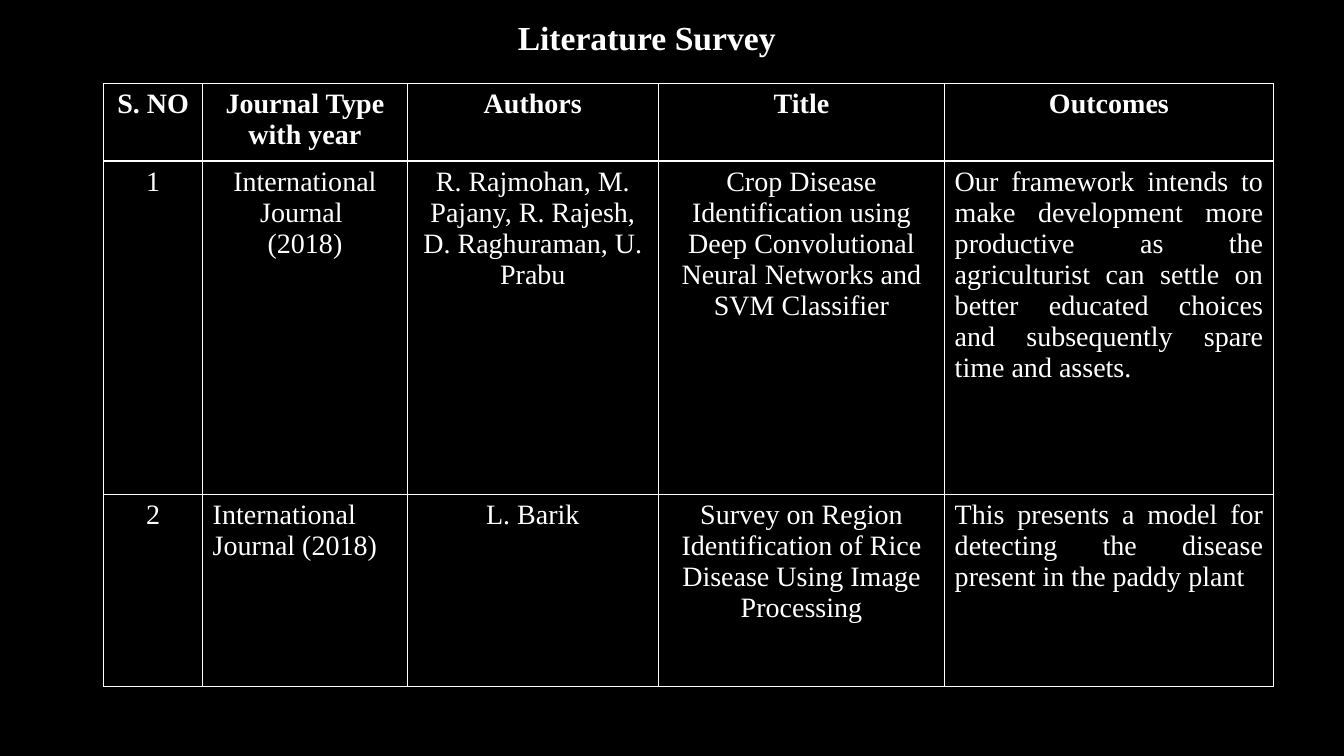
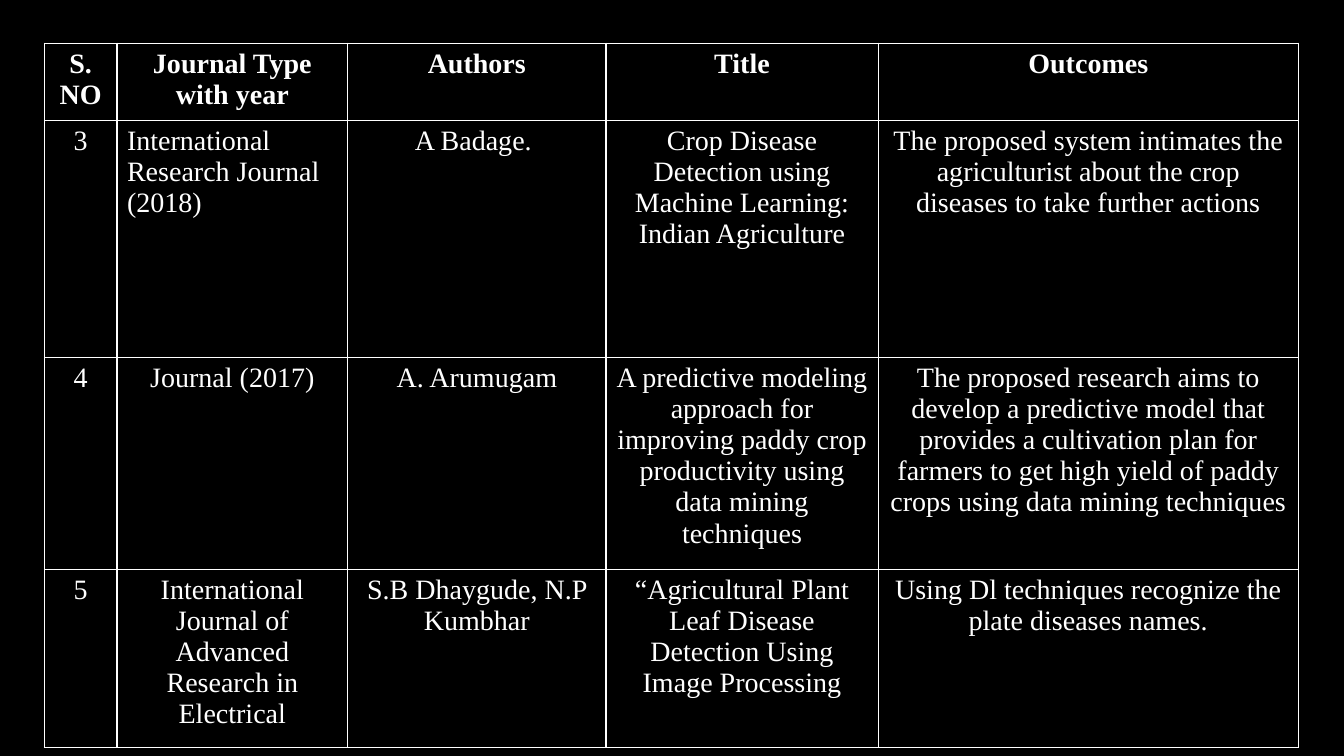
from dataclasses import dataclass

from lxml import etree
from pptx import Presentation
from pptx.dml.color import RGBColor
from pptx.enum.text import MSO_ANCHOR, PP_ALIGN
from pptx.oxml.ns import qn
from pptx.util import Inches, Pt

LEFT, CENTER, JUSTIFY = PP_ALIGN.LEFT, PP_ALIGN.CENTER, PP_ALIGN.JUSTIFY
MIDDLE = MSO_ANCHOR.MIDDLE
BORDER_SIDES = ("a:lnL", "a:lnR", "a:lnT", "a:lnB")


@dataclass(frozen=True)
class Theme:
    background: str = "000000"
    foreground: str = "FFFFFF"
    font: str = "Times New Roman"
    title_size: int = 24
    table_size: int = 20
    border_width: int = 1


THEME = Theme()
HEADERS = ("S. NO", "Journal Type with year", "Authors", "Title", "Outcomes")

# Survey entries: number, journal, authors, title, outcomes
FIRST_PAPERS = [
    ("1", "International Journal \n(2018)",
     "R. Rajmohan, M. Pajany, R. Rajesh, D. Raghuraman, U. Prabu",
     "Crop Disease Identification using Deep Convolutional Neural Networks "
     "and SVM Classifier",
     "Our framework intends to make development more productive as the "
     "agriculturist can settle on better educated choices and subsequently "
     "spare time and assets."),
    ("2", "International Journal (2018)", "L. Barik",
     "Survey on Region Identification of Rice Disease Using Image Processing",
     "This presents a model for detecting the disease present in the paddy plant"),
]
MORE_PAPERS = [
    ("3", "International Research Journal (2018)", "A Badage. ",
     "Crop Disease Detection using Machine Learning: Indian Agriculture",
     "The proposed system intimates the agriculturist about the crop diseases "
     "to take further actions"),
    ("4", "Journal (2017)", "A. Arumugam",
     "A predictive modeling approach for improving paddy crop productivity "
     "using data mining techniques",
     "The proposed research aims to develop a predictive model that provides a "
     "cultivation plan for farmers to get high yield of paddy crops using data "
     "mining techniques"),
    ("5", "International Journal of Advanced Research in Electrical",
     "S.B Dhaygude, N.P Kumbhar",
     "“Agricultural Plant Leaf Disease Detection Using Image Processing",
     "Using Dl techniques recognize the plate diseases names."),
]


def write_text(text_frame, text, *, size, bold=False, align=CENTER, line_spacing=None):
    """Write one paragraph per line of text in the theme's font and colour."""
    for index, line in enumerate(text.split("\n")):
        paragraph = text_frame.add_paragraph() if index else text_frame.paragraphs[0]
        paragraph.alignment = align
        if line_spacing:
            paragraph.line_spacing = line_spacing
        run = paragraph.add_run()
        run.text = line
        run.font.name = THEME.font
        run.font.size = Pt(size)
        run.font.bold = bold
        run.font.color.rgb = RGBColor.from_string(THEME.foreground)


def add_slide(presentation):
    slide = presentation.slides.add_slide(presentation.slide_layouts[6])
    fill = slide.background.fill
    fill.solid()
    fill.fore_color.rgb = RGBColor.from_string(THEME.background)
    return slide


def add_title(slide, text, left, top, width, height):
    text_frame = slide.shapes.add_textbox(
        Inches(left), Inches(top), Inches(width), Inches(height)).text_frame
    text_frame.word_wrap = True
    text_frame.vertical_anchor = MIDDLE
    write_text(text_frame, text, size=THEME.title_size, bold=True, line_spacing=0.9)


def style_cell(cell):
    """Outline the cell and let the slide background show through."""
    properties = cell._tc.get_or_add_tcPr()
    for side in BORDER_SIDES:
        line = etree.SubElement(properties, qn(side), w=str(Pt(THEME.border_width)))
        fill = etree.SubElement(line, qn("a:solidFill"))
        etree.SubElement(fill, qn("a:srgbClr"), val=THEME.foreground)
    cell.fill.background()


def add_survey_table(slide, papers, left, top, widths, heights, alignments):
    """Add a survey table; alignments maps (row, column) to non-centred cells."""
    rows = [HEADERS, *papers]
    table = slide.shapes.add_table(
        len(rows), len(HEADERS), Inches(left), Inches(top),
        Inches(sum(widths)), Inches(sum(heights))).table
    for column, width in zip(table.columns, widths):
        column.width = Inches(width)
    for row, height in zip(table.rows, heights):
        row.height = Inches(height)
    for row_index, texts in enumerate(rows):
        for column_index, text in enumerate(texts):
            cell = table.cell(row_index, column_index)
            style_cell(cell)
            write_text(cell.text_frame, text, size=THEME.table_size,
                       bold=row_index == 0,
                       align=alignments.get((row_index, column_index), CENTER))


def main():
    presentation = Presentation()
    presentation.slide_width = Inches(13.33)
    presentation.slide_height = Inches(7.5)

    # Title and first two papers
    slide = add_slide(presentation)
    add_title(slide, "Literature Survey", 4.4, 0.08, 4.03, 0.63)
    add_survey_table(slide, FIRST_PAPERS, 1.03, 0.83,
                     widths=(0.98, 2.03, 2.49, 2.84, 3.26),
                     heights=(0.71, 3.31, 1.9),
                     alignments={(1, 4): JUSTIFY, (2, 1): LEFT, (2, 4): JUSTIFY})

    # Remaining papers
    slide = add_slide(presentation)
    add_survey_table(slide, MORE_PAPERS, 0.44, 0.43,
                     widths=(0.72, 2.29, 2.56, 2.7, 4.17),
                     heights=(0.71, 2.35, 1.95, 1.65),
                     alignments={(1, 1): LEFT})

    presentation.save("out.pptx")


if __name__ == "__main__":
    main()
